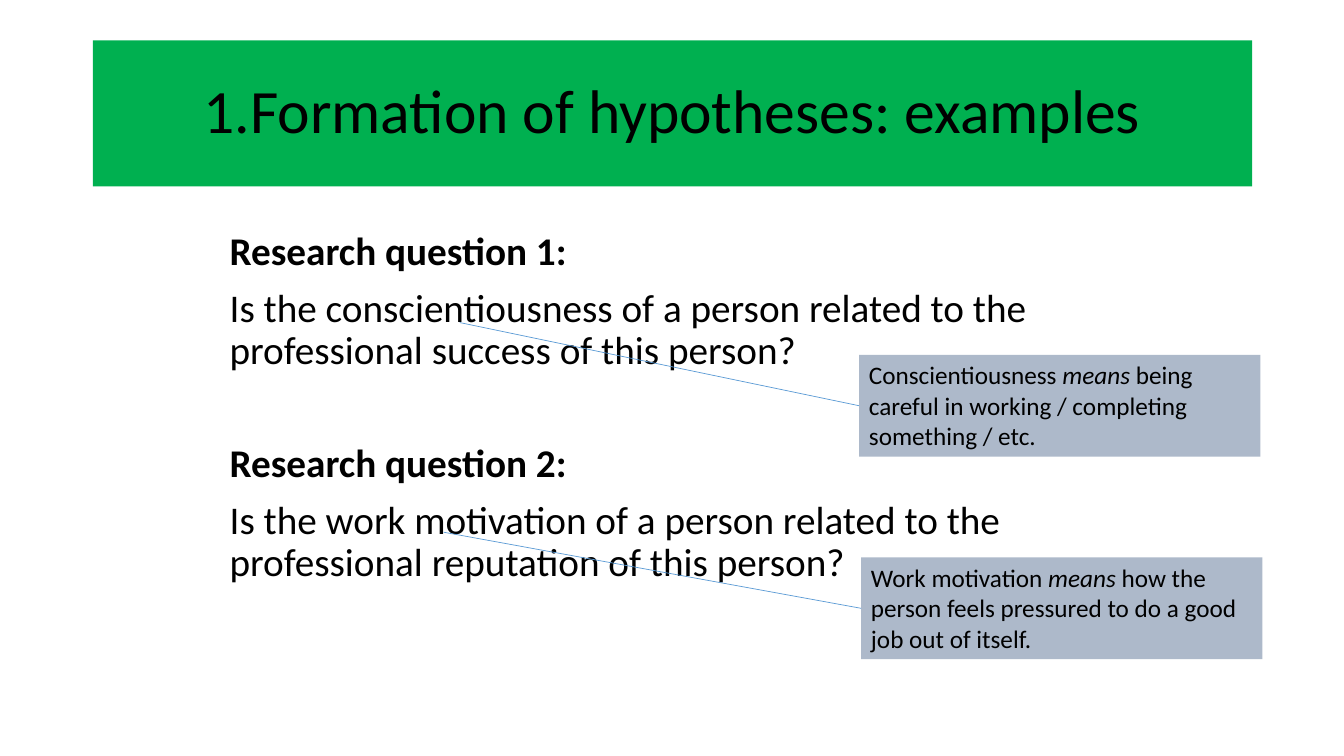
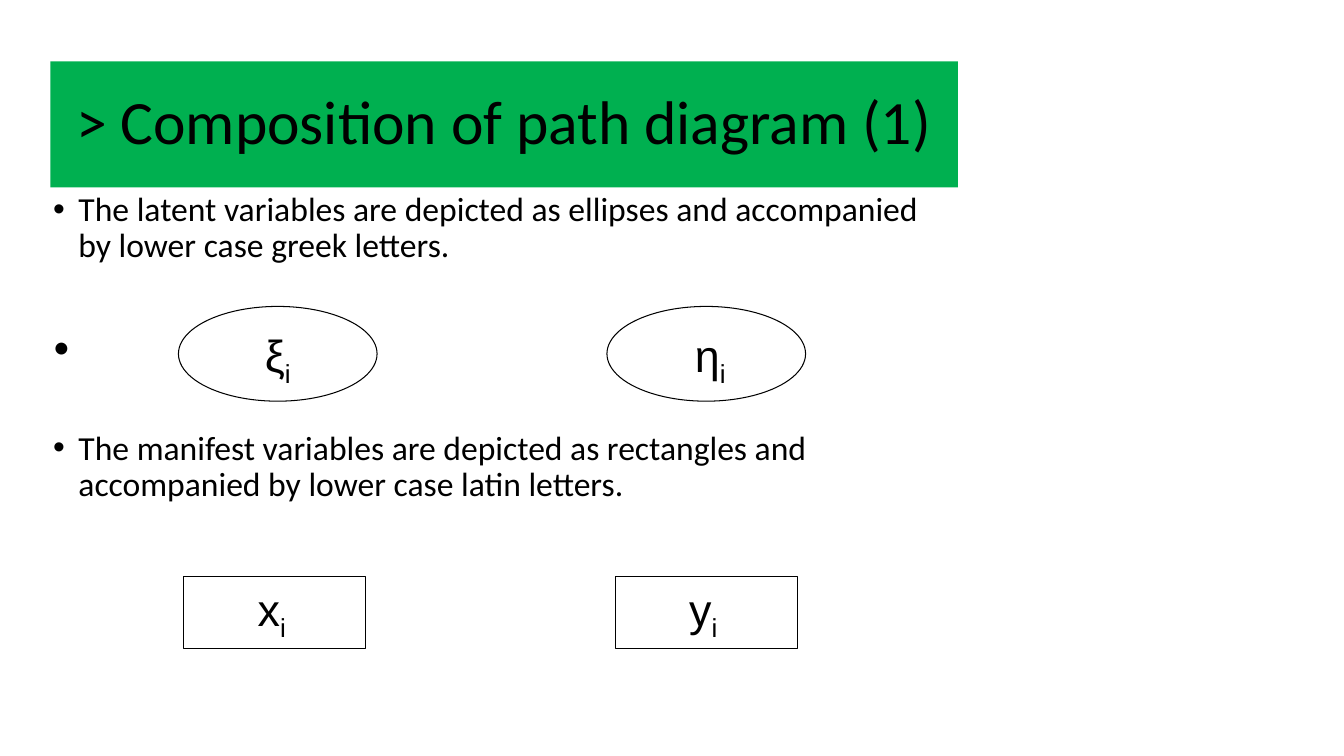
from dataclasses import dataclass

from lxml import etree
from pptx import Presentation
from pptx.dml.color import RGBColor as RGB
from pptx.enum.shapes import MSO_CONNECTOR as CXN, MSO_SHAPE as SHAPE
from pptx.enum.text import MSO_ANCHOR as ANCHOR, MSO_AUTO_SIZE as FIT, PP_ALIGN as ALIGN
from pptx.oxml.ns import qn
from pptx.util import Inches, Pt


@dataclass(frozen=True)
class Theme:
    font: str = "Calibri"
    symbol_font: str = "Arial"
    ink: RGB = RGB(0, 0, 0)
    paper: RGB = RGB(255, 255, 255)
    band: RGB = RGB(0x00, 0xB0, 0x50)
    note: RGB = RGB(0xAD, 0xB9, 0xCA)
    pointer: RGB = RGB(0x5B, 0x9B, 0xD5)
    title_size: Pt = Pt(44)
    question_size: Pt = Pt(28)
    bullet_size: Pt = Pt(24)
    note_size: Pt = Pt(18)
    symbol_size: Pt = Pt(32)
    gap: Pt = Pt(10)
    line_spacing: float = 0.9


def set_all(target, values):
    for name, value in values.items():
        setattr(target, name, value)


class Deck:
    def __init__(self, theme):
        self.t = theme
        self.prs = Presentation()
        set_all(self.prs, {"slide_width": Inches(13.33), "slide_height": Inches(7.5)})
        self.s = None

    def slide(self, title, *box):
        """Start a slide with its title on a green band."""
        self.s = self.prs.slides.add_slide(self.prs.slide_layouts[5])
        sp = self.s.shapes.title
        set_all(sp, dict(zip(("left", "top", "width", "height"), map(Inches, box))))
        sp.fill.solid()
        sp.fill.fore_color.rgb = self.t.band
        set_all(sp.text_frame, {"word_wrap": True, "auto_size": FIT.NONE,
                                "vertical_anchor": ANCHOR.MIDDLE})
        self.para(sp.text_frame.paragraphs[0], [(title, {})], self.t.title_size,
                  alignment=ALIGN.CENTER, line_spacing=self.t.line_spacing)

    def para(self, p, runs, size, font=None, **layout):
        """Fill a paragraph with (text, font values) runs."""
        set_all(p, {"alignment": ALIGN.LEFT, **layout})
        for text, values in runs:
            r = p.add_run()
            r.text = text
            set_all(r.font, {"name": font or self.t.font, "size": size, **values})
            r.font.color.rgb = self.t.ink

    def text_box(self, *box):
        tf = self.s.shapes.add_textbox(*map(Inches, box)).text_frame
        tf.word_wrap = True
        return tf

    def body(self, box, paragraphs, size):
        """Add (text, bold, bulleted, space before) paragraphs."""
        tf = self.text_box(*box)
        for i, (text, bold, bulleted, before) in enumerate(paragraphs):
            p = tf.add_paragraph() if i else tf.paragraphs[0]
            self.para(p, [(text, {"bold": bold})], size, space_before=before,
                      line_spacing=self.t.line_spacing)
            if bulleted:
                self.bullet(p)

    def bullet(self, p):
        pPr = p._p.get_or_add_pPr()
        pPr.set("marL", str(Inches(0.25)))
        pPr.set("indent", str(Inches(-0.25)))
        etree.SubElement(pPr, qn("a:buFont")).set("typeface", "Arial")
        etree.SubElement(pPr, qn("a:buChar")).set("char", "•")

    def shape(self, kind, box, fill, line=None):
        sp = self.s.shapes.add_shape(kind, *map(Inches, box))
        sp.shadow.inherit = False
        sp.fill.solid()
        sp.fill.fore_color.rgb = fill
        if line is None:
            sp.line.fill.background()
        else:
            sp.line.color.rgb = line
            sp.line.width = Pt(0.75)
        return sp

    def note(self, left, top, runs, start):
        """Place a definition and a line to the term it explains."""
        sp = self.shape(SHAPE.RECTANGLE, (left, top, 3.98, 1.01), self.t.note)
        set_all(sp.text_frame, {"word_wrap": True, "vertical_anchor": ANCHOR.TOP})
        self.para(sp.text_frame.paragraphs[0], runs, self.t.note_size)
        x, y = map(Inches, start)
        line = self.s.shapes.add_connector(CXN.STRAIGHT, x, y, x, y)
        line.end_connect(sp, 1)
        line.line.color.rgb = self.t.pointer
        line.line.width = Pt(0.5)
        etree.SubElement(line._element.spPr, qn("a:effectLst"))

    def variable(self, kind, box, letter, label_box):
        """Draw an outlined variable with its indexed letter."""
        self.shape(kind, box, self.t.paper, self.t.ink)
        p = self.text_box(*label_box).paragraphs[0]
        self.para(p, [(letter, {}), ("i", {})], self.t.symbol_size,
                  self.t.symbol_font, alignment=ALIGN.CENTER)
        p.runs[1]._r.get_or_add_rPr().set("baseline", "-25000")


def hypotheses(deck):
    t = deck.t
    deck.slide("1.Formation of hypotheses: examples", 0.92, 0.4, 11.5, 1.45)

    # Research questions
    deck.body((2.18, 2.25, 9, 4.95), [
        ("Research question 1:", True, False, t.gap),
        ("Is the conscientiousness of a person related to the professional "
         "success of this person?", False, False, t.gap),
        ("Research question 2:", True, False, Pt(50.8)),
        ("Is the work motivation of a person related to the professional "
         "reputation of this person?", False, False, t.gap),
    ], t.question_size)

    # Definitions
    for left, top, term, meaning, start in (
        (8.52, 3.52, "Conscientiousness ",
         "being careful in working / completing something / etc.", (4.56, 3.2)),
        (8.54, 5.53, "Work motivation ",
         "how the person feels pressured to do a good job out of itself.", (4.4, 5.28)),
    ):
        runs = [(term, {}), ("means ", {"italic": True}), (meaning, {})]
        deck.note(left, top, runs, start)


def path_diagram(deck):
    t = deck.t
    deck.slide("> Composition of path diagram (1)", 0.5, 0.61, 9, 1.25)

    # Rules of notation
    wide_gap = Pt(46.4)
    deck.body((0.43, 1.86, 9, 4.95), [
        ("The latent variables are depicted as ellipses and accompanied by "
         "lower case greek letters.", False, True, t.gap),
        ("•", False, False, wide_gap),
        ("The manifest variables are depicted as rectangles and accompanied by "
         "lower case latin letters.", False, True, wide_gap),
    ], t.bullet_size)

    # Latent variables
    for left, letter, label_left, label_width in ((1.77, "ξ", 2.4, 0.71),
                                                  (6.02, "η", 6.65, 0.79)):
        deck.variable(SHAPE.OVAL, (left, 3.04, 1.97, 0.94), letter,
                      (label_left, 3.2, label_width, 0.63))

    # Manifest variables
    for left, letter in ((1.82, "x"), (6.1, "y")):
        deck.variable(SHAPE.RECTANGLE, (left, 5.72, 1.81, 0.71), letter,
                      (left + 0.48, 5.72, 0.79, 0.63))


def main():
    deck = Deck(Theme())
    hypotheses(deck)
    path_diagram(deck)
    deck.prs.save("out.pptx")


if __name__ == "__main__":
    main()
